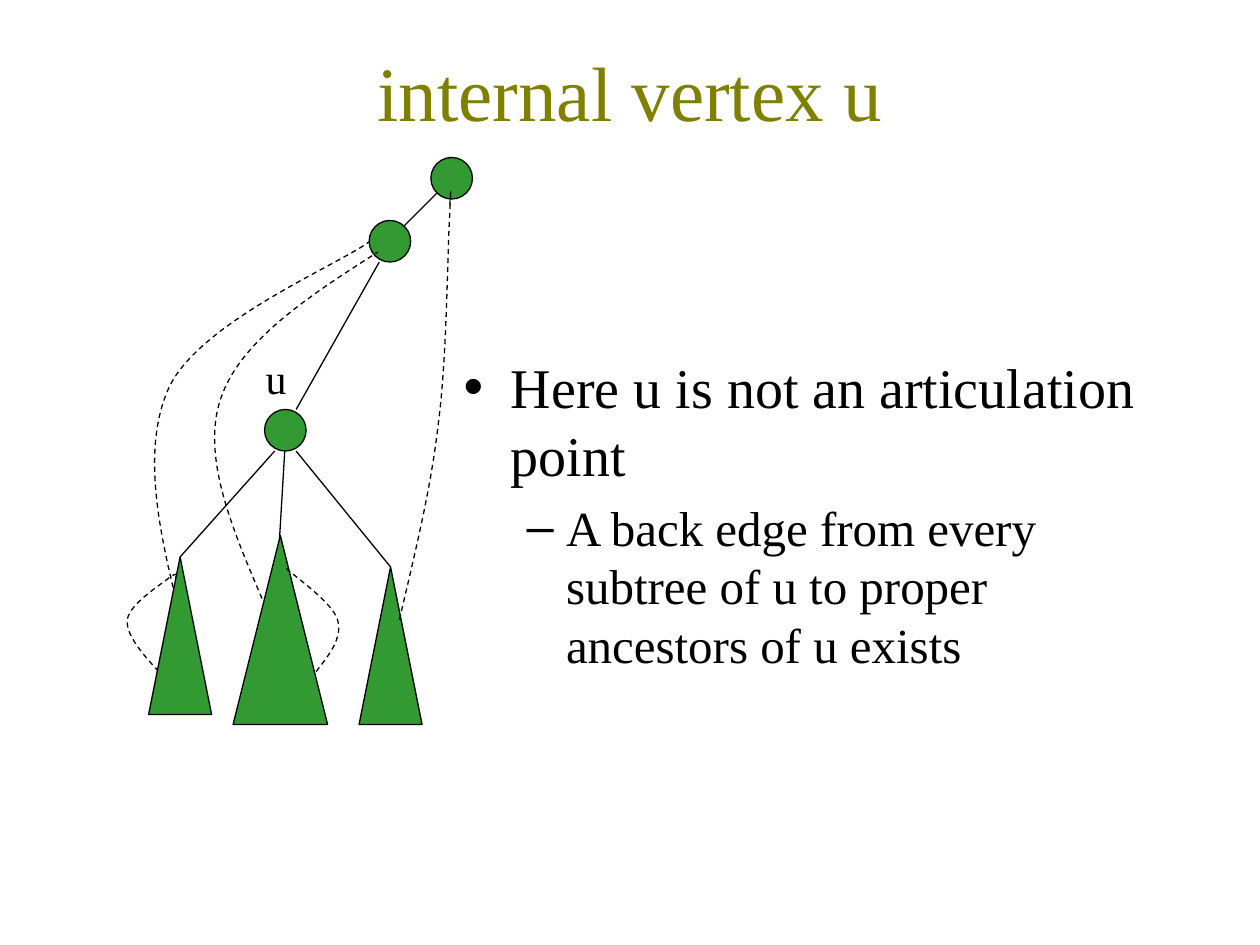
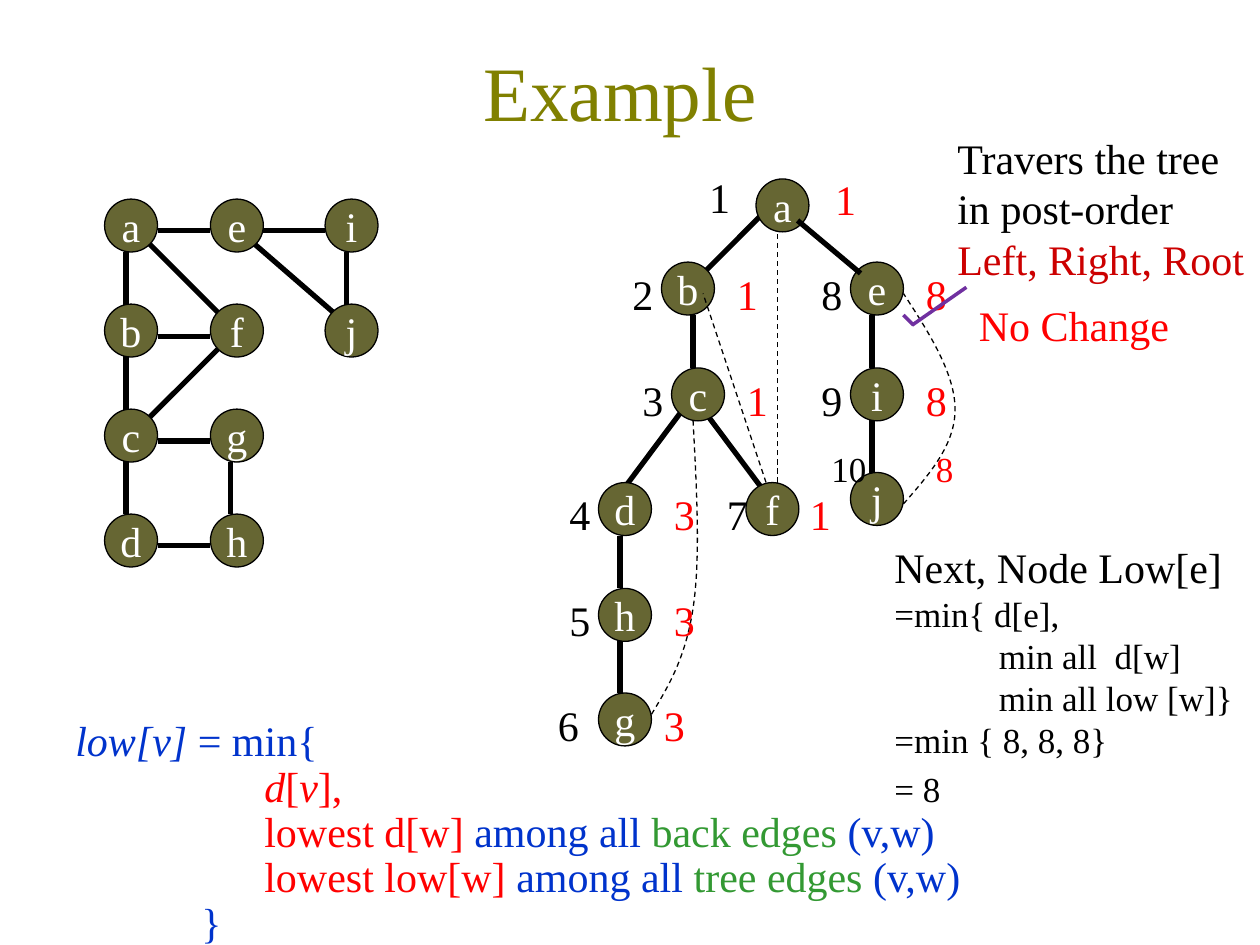
from lxml import etree
from pptx import Presentation
from pptx.dml.color import RGBColor
from pptx.enum.dml import MSO_LINE
from pptx.enum.shapes import MSO_CONNECTOR, MSO_SHAPE
from pptx.enum.text import MSO_ANCHOR, MSO_AUTO_SIZE, PP_ALIGN
from pptx.oxml.ns import qn
from pptx.util import Inches, Pt

FONT = "Times New Roman"
C = {"title": "808000", "black": "000000", "white": "FFFFFF", "green": "339933",
     "olive": "666633", "red": "FF0000", "dark_red": "CC0000", "blue": "0033CC",
     "purple": "7030A0"}
NODE = 0.42
VERTEX = 0.33


def add_run(p, text, size, color="black", italic=False):
    r = p.add_run()
    r.text = text
    r.font.name, r.font.size, r.font.italic = FONT, Pt(size), italic
    r.font.color.rgb = RGBColor.from_string(C[color])


def place(sp, x, y, w, h):
    sp.left, sp.top, sp.width, sp.height = map(Inches, (x, y, w, h))


def style_line(line, width, color="black", dashed=False):
    line.color.rgb = RGBColor.from_string(C[color])
    line.width = Pt(width)
    if dashed:
        line.dash_style = MSO_LINE.DASH


def add_slide(prs, layout, title):
    s = prs.slides.add_slide(prs.slide_layouts[layout])
    sp = s.shapes.title
    place(sp, 0.5, 0.3, 9, 1.25)
    tf = sp.text_frame
    tf.auto_size = MSO_AUTO_SIZE.NONE
    tf.vertical_anchor = MSO_ANCHOR.TOP
    tf.paragraphs[0].alignment = PP_ALIGN.CENTER
    add_run(tf.paragraphs[0], title, 44, "title")
    return s


def add_line(s, x1, y1, x2, y2, width=0.75, color="black", dashed=False):
    cx = s.shapes.add_connector(MSO_CONNECTOR.STRAIGHT, *map(Inches, (x1, y1, x2, y2)))
    style_line(cx.line, width, color, dashed)
    etree.SubElement(cx.line._get_or_add_ln().getparent(), qn("a:effectLst"))


def add_shape(s, kind, x, y, w, h, fill):
    sp = s.shapes.add_shape(kind, *map(Inches, (x, y, w, h)))
    sp.shadow.inherit = False
    sp.fill.solid()
    sp.fill.fore_color.rgb = RGBColor.from_string(C[fill])
    style_line(sp.line, 0.75)
    return sp


def add_node(s, name, x, y):
    tf = add_shape(s, MSO_SHAPE.OVAL, x, y, NODE, NODE, "olive").text_frame
    tf.word_wrap = False
    tf.vertical_anchor = MSO_ANCHOR.MIDDLE
    p = tf.paragraphs[0]
    p.alignment = PP_ALIGN.CENTER
    add_run(p, name, 24, "white")


def add_back_edge(s, *points):
    start, *rest = [(Inches(x), Inches(y)) for x, y in points]
    builder = s.shapes.build_freeform(*start)
    builder.add_line_segments(rest, close=False)
    sp = builder.convert_to_shape()
    sp.shadow.inherit = False
    sp.fill.background()
    style_line(sp.line, 0.75, dashed=True)
    segments = list(sp._element.iter(qn("a:lnTo")))
    for i in range(0, len(segments), 3):
        curve = etree.Element(qn("a:cubicBezTo"))
        segments[i].addprevious(curve)
        for segment in segments[i:i + 3]:
            curve.append(segment[0])
            segment.getparent().remove(segment)


def add_text(s, x, y, w, h, *lines, spacing=None):
    tf = s.shapes.add_textbox(*map(Inches, (x, y, w, h))).text_frame
    tf.word_wrap = True
    for i, (indent, runs) in enumerate(lines):
        p = tf.add_paragraph() if i else tf.paragraphs[0]
        p.line_spacing = spacing
        if indent:
            p._p.get_or_add_pPr().set("marL", str(Inches(indent)))
        for run in runs:
            add_run(p, *run)
    return tf


def add_label(s, x, y, text, size=24, color="black"):
    add_text(s, x, y, 0.5, 0.4, (0, [(text, size, color)]))


def build_internal_vertex(prs):
    s = add_slide(prs, 1, "internal vertex u")
    body = s.placeholders[1]
    place(body, 3.58, 2.75, 5.83, 1.42)
    tf = body.text_frame
    tf.auto_size = MSO_AUTO_SIZE.NONE
    add_run(tf.paragraphs[0], "Here u is not an articulation point", 32)
    p = tf.add_paragraph()
    p.level = 1
    add_run(p, "A back edge from every subtree of u to proper ancestors of u exists", 28)

    add_back_edge(s, (1.26, 5.33), (1.13, 5.19), (1, 5.04), (1.01, 4.92),
                  (1.03, 4.79), (1.28, 4.64), (1.35, 4.58),
                  (1.42, 4.53), (1.43, 4.58), (1.43, 4.58),
                  (1.43, 4.58), (1.39, 4.58), (1.35, 4.58))
    add_back_edge(s, (1.48, 5.08), (1.29, 4.35), (1.1, 3.61), (1.34, 3.08),
                  (1.58, 2.56), (2.67, 2.11), (2.93, 1.92))
    for edge in [(3.08, 1.92, 3.58, 1.42), (2.35, 3.25, 3.01, 2.08),
                 (1.43, 4.42, 2.18, 3.58), (2.18, 4.92, 2.26, 3.58),
                 (2.35, 3.58, 3.1, 4.5)]:
        add_line(s, *edge)
    for x, y, w, h in [(1.18, 4.42, 0.5, 1.25), (1.85, 4.25, 0.75, 1.5),
                       (2.85, 4.5, 0.5, 1.25)]:
        add_shape(s, MSO_SHAPE.ISOSCELES_TRIANGLE, x, y, w, h, "green")
    for x, y in [(2.1, 3.25), (2.93, 1.75), (3.42, 1.25)]:
        add_shape(s, MSO_SHAPE.OVAL, x, y, VERTEX, VERTEX, "green")
    add_back_edge(s, (2.51, 5.33), (2.62, 5.19), (2.72, 5.06), (2.68, 4.92),
                  (2.64, 4.78), (2.33, 4.57), (2.26, 4.5))
    add_back_edge(s, (3.17, 4.92), (3.29, 4.4), (3.42, 3.89), (3.48, 3.35),
                  (3.55, 2.82), (3.55, 1.99), (3.57, 1.7),
                  (3.58, 1.42), (3.58, 1.52), (3.57, 1.62))
    add_back_edge(s, (2.08, 4.75), (1.84, 4.19), (1.6, 3.62), (1.75, 3.17),
                  (1.9, 2.71), (2.45, 2.35), (3, 2))
    add_label(s, 2.01, 2.75, "u")


def add_graph(s):
    for edge in [(1.17, 3.33, 1.75, 2.75), (1.17, 1.92, 1.75, 2.5), (1, 2, 1, 4.08),
                 (2, 1.92, 2.67, 2.5), (1.25, 1.83, 1.67, 1.83),
                 (2.08, 1.83, 2.58, 1.83), (2.75, 2, 2.75, 2.42),
                 (1.25, 2.67, 1.67, 2.67), (1.25, 3.5, 1.67, 3.5),
                 (1.25, 4.33, 1.67, 4.33), (1.83, 3.67, 1.83, 4.08)]:
        add_line(s, *edge, width=3)
    for x, names in [(0.83, "abcd"), (1.67, "efgh"), (2.58, "ij")]:
        for row, name in enumerate(names):
            add_node(s, name, x, 1.58 + row * 2.5 / 3)


def add_dfs_tree(s):
    for edge in [(4.92, 3.92, 5.42, 3.25), (5.5, 2.25, 6.08, 1.67),
                 (5.58, 3.25, 6.08, 3.92), (6.92, 3.33, 6.92, 3.75),
                 (6.92, 2.5, 6.92, 2.92), (5.5, 2.5, 5.5, 2.92),
                 (4.92, 4.25, 4.92, 4.67), (4.92, 5.08, 4.92, 5.5)]:
        add_line(s, *edge, width=3)
    nodes = [("a", 6, 1.42, "1", 5.53, "1", 6.53),
             ("b", 5.25, 2.08, "2", 4.92, "1", 5.75),
             ("c", 5.33, 2.92, "3", 5, "1", 5.83),
             ("d", 4.75, 3.83, "4", 4.42, "3", 5.25),
             ("h", 4.75, 4.67, "5", 4.42, "3", 5.25),
             ("g", 4.75, 5.5, "6", 4.33, "3", 5.17),
             ("f", 5.92, 3.83, "7", 5.67, "1", 6.33),
             ("e", 6.75, 2.08, "8", 6.42, "8", 7.25),
             ("i", 6.75, 2.92, "9", 6.42, "8", 7.25),
             ("j", 6.75, 3.75, "10", 6.5, "8", 7.33)]
    for name, x, y, *_ in nodes:
        add_node(s, name, x, y)
    add_line(s, 6.33, 1.75, 6.83, 2.17, width=3)
    add_back_edge(s, (5.17, 5.67), (5.31, 5.44), (5.44, 5.22), (5.5, 4.83),
                  (5.56, 4.44), (5.53, 3.89), (5.5, 3.33))
    add_back_edge(s, (6.08, 3.83), (6.08, 3.83), (5.83, 3.08), (5.58, 2.33))
    add_line(s, 6.17, 3.83, 6.17, 1.83, dashed=True)
    add_back_edge(s, (7.17, 4), (7.38, 3.76), (7.58, 3.53), (7.58, 3.25),
                  (7.58, 2.97), (7.38, 2.65), (7.17, 2.33))
    label_tops = {"a": (1.31, 1.33), "j": (3.5, 3.5)}
    for name, _, y, order, order_x, low, low_x in nodes:
        order_y, low_y = label_tops.get(name, (y, y))
        size = 20 if name == "j" else 24
        add_label(s, order_x, order_y, order, size)
        add_label(s, low_x, low_y, low, size, "red")


def lowest_line(what, edges):
    return (2, [(f"lowest {what}[w]", 24, "red"), (" among all ", 24, "blue"),
                (f"{edges} edges", 24, "green"), (" (v,w)", 24, "blue")])


def build_example(prs):
    s = add_slide(prs, 5, "Example ")
    add_graph(s)
    add_dfs_tree(s)
    add_text(s, 0, 5.67, 7.83, 1.92,
             (0.5, [("low[v]", 24, "blue", True), (" = min{", 24, "blue")]),
             (2, [("d", 24, "red", True), ("[", 24, "red"),
                  ("v", 24, "red", True), ("],", 24, "red")]),
             lowest_line("d", "back"),
             lowest_line("low", "tree"),
             (1.5, [("}", 24, "blue")]), spacing=0.9)
    add_text(s, 7.5, 1, 2.5, 1.31,
             (0, [("Travers the tree in post-order", 24)]),
             (0, [("Left, Right, Root", 24, "dark_red")]))
    tf = add_text(s, 7, 4.25, 3, 2.26,
                  (0, [("Next, Node Low[e]", 24)]),
                  (0, [("=min{ d[e],", 20)]),
                  (0.83, [("min all  d[w]", 20)]),
                  (0.83, [("min all low [w]}", 20)]),
                  (0, [("=min { 8, 8, 8}", 20)]),
                  (0, [("= 8", 20)]))
    tf.paragraphs[-1].space_before = Pt(4)
    add_text(s, 7.67, 2.33, 2.08, 0.5, (0, [("No Change", 24, "red")]))
    add_line(s, 7.17, 2.5, 7.25, 2.58, 2, "purple")
    add_line(s, 7.67, 2.28, 7.24, 2.58, 2, "purple")


def main():
    prs = Presentation()
    prs.slide_width, prs.slide_height = Inches(10), Inches(7.5)
    build_internal_vertex(prs)
    build_example(prs)
    prs.save("out.pptx")


main()
